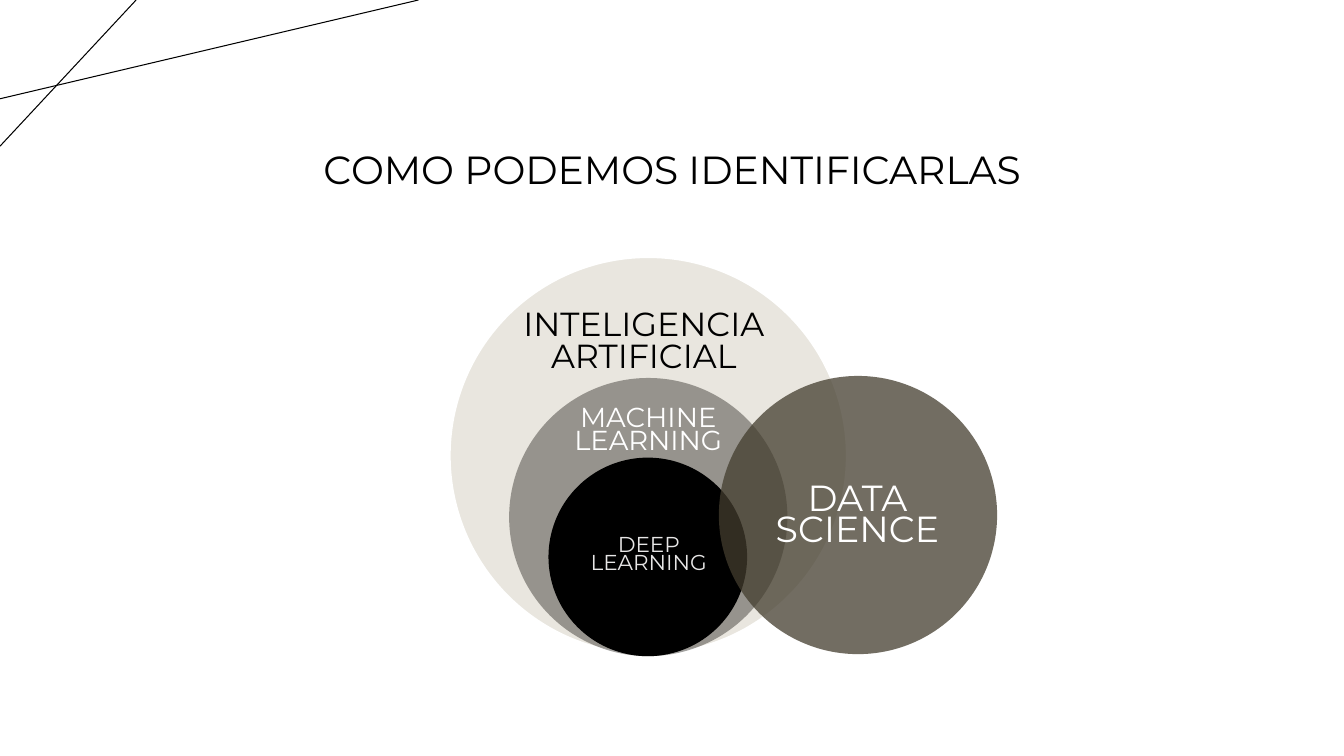
import pptx
import pptx.util
import pptx.dml.color
import pptx.enum.shapes
import pptx.enum.text
import pptx.oxml.ns
import pptx.oxml.xmlchemy
from pptx.util import Inches

RGBColor = pptx.dml.color.RGBColor
BLACK = RGBColor(0x00, 0x00, 0x00)
WHITE = RGBColor(0xFF, 0xFF, 0xFF)
LIGHT_GRAY = RGBColor(0xE7, 0xE6, 0xE6)
SAND = RGBColor(0xE9, 0xE6, 0xDF)
DARK_BROWN = RGBColor(0x1B, 0x18, 0x12)
OLIVE = RGBColor(0x43, 0x3D, 0x2E)
FONT = "Montserrat"


def add_line(slide, start, end):
    connector = slide.shapes.add_connector(
        pptx.enum.shapes.MSO_CONNECTOR.STRAIGHT,
        *(Inches(value) for value in start + end))
    connector.line.color.rgb = BLACK
    connector.line.width = pptx.util.Pt(0.75)
    properties = connector._element.spPr
    properties.append(pptx.oxml.xmlchemy.OxmlElement("a:effectLst"))


def add_circle(slide, left, top, diameter, color, opacity=100, outline=None):
    circle = slide.shapes.add_shape(
        pptx.enum.shapes.MSO_SHAPE.OVAL,
        Inches(left), Inches(top), Inches(diameter), Inches(diameter))
    circle.shadow.inherit = False
    circle.fill.solid()
    circle.fill.fore_color.rgb = color
    if opacity < 100:
        fill_color = circle._element.spPr.find(".//" + pptx.oxml.ns.qn("a:srgbClr"))
        alpha = pptx.oxml.xmlchemy.OxmlElement("a:alpha")
        alpha.set("val", str(opacity * 1000))
        fill_color.append(alpha)
    if outline is None:
        circle.line.fill.background()
    else:
        circle.line.color.rgb = outline
        circle.line.width = pptx.util.Pt(1.5)


def add_text(slide, text, left, top, width, height, size, color=BLACK, spacing=0.7):
    box = slide.shapes.add_textbox(
        Inches(left), Inches(top), Inches(width), Inches(height))
    frame = box.text_frame
    frame.word_wrap = True
    frame.vertical_anchor = pptx.enum.text.MSO_ANCHOR.MIDDLE
    frame.text = text
    for paragraph in frame.paragraphs:
        paragraph.alignment = pptx.enum.text.PP_ALIGN.CENTER
        paragraph.line_spacing = spacing
        font = paragraph.runs[0].font
        font.name = FONT
        font.size = pptx.util.Pt(size)
        font.color.rgb = color


def main():
    presentation = pptx.Presentation()
    presentation.slide_width = Inches(13.33)
    presentation.slide_height = Inches(7.5)
    slide = presentation.slides.add_slide(presentation.slide_layouts[6])

    add_line(slide, (1.35, 0), (0, 1.45))
    add_line(slide, (4.15, 0), (0, 0.98))
    add_text(slide, "COMO PODEMOS IDENTIFICARLAS", 2.06, 0.98, 9.21, 1.45,
             size=28, spacing=0.9)

    add_circle(slide, 4.46, 2.55, 3.94, SAND, outline=WHITE)
    add_circle(slide, 5.05, 3.75, 2.76, DARK_BROWN, opacity=40)
    add_circle(slide, 5.44, 4.54, 1.97, BLACK)
    add_text(slide, "INTELIGENCIA\nARTIFICIAL", 5.05, 2.98, 2.67, 0.84,
             size=23.8, spacing=0.8)
    add_text(slide, "MACHINE\nLEARNING", 5.46, 3.98, 1.94, 0.61,
             size=19.6, color=WHITE)
    add_text(slide, "DEEP\nLEARNING", 5.55, 5.28, 1.77, 0.48,
             size=15.4, color=LIGHT_GRAY)

    add_circle(slide, 7.13, 3.73, 2.76, OLIVE, opacity=75)
    add_text(slide, "DATA\nSCIENCE", 7.39, 4.77, 2.23, 0.74,
             size=25.9, color=WHITE)

    presentation.save("out.pptx")


if __name__ == "__main__":
    main()
